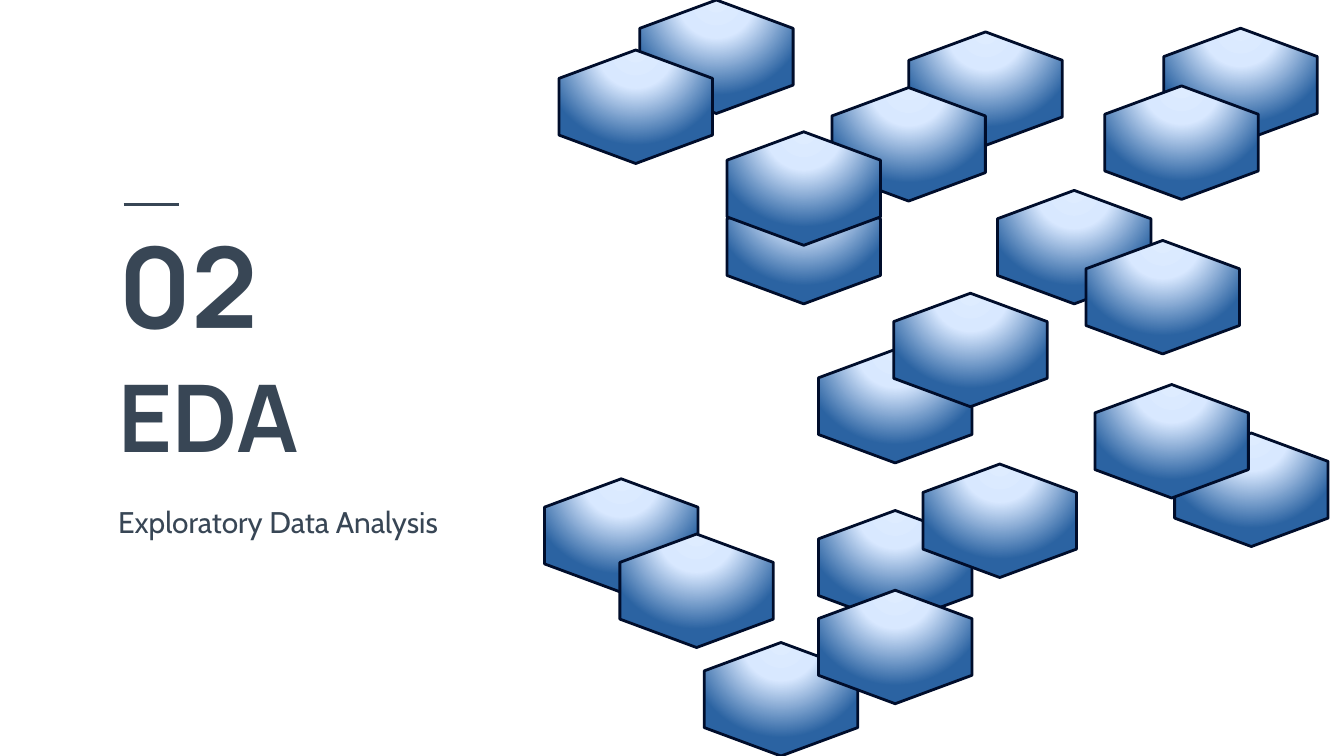
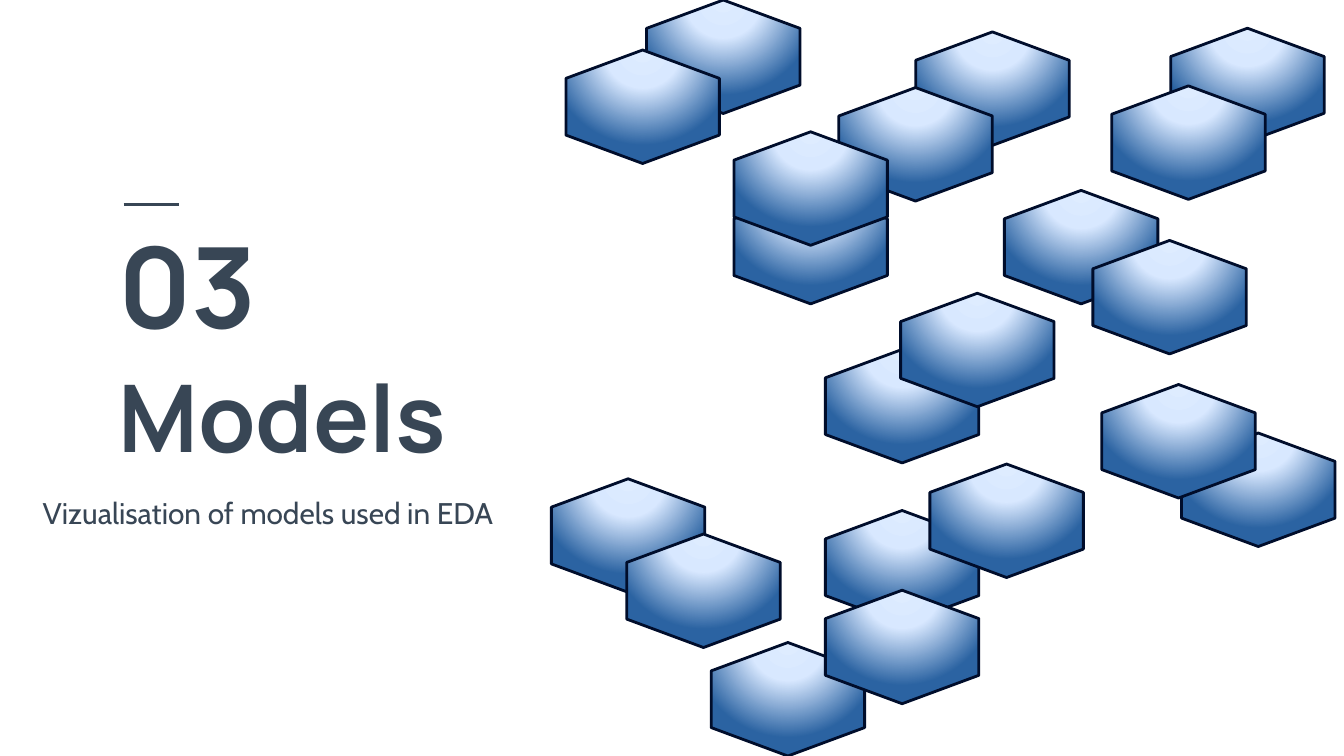
from dataclasses import dataclass

from lxml import etree
from pptx import Presentation
from pptx import util as u
from pptx.dml.color import RGBColor
from pptx.enum import shapes, text
from pptx.oxml import parse_xml
from pptx.oxml.ns import nsdecls, qn

SLATE = RGBColor(0x38, 0x46, 0x55)
NAVY = RGBColor(0x00, 0x0D, 0x2B)
ICE = RGBColor(0xDE, 0xEC, 0xFF)
SKY = RGBColor(0xD8, 0xE8, 0xFF)
OCEAN = RGBColor(0x2B, 0x63, 0xA2)
WHITE = RGBColor(0xFF, 0xFF, 0xFF)

HEADING_FONT = "Manrope"
BODY_FONT = "Cabin"
PADDING = u.Pt(7.2)
LINE_WIDTH = u.Pt(1.5)
TITLE_ONLY = 5

HEX_WIDTH = 82.2
HEX_HEIGHT = 60.8
HEX_STOPS = ((0, ICE), (40, SKY), (100, OCEAN))
HEX_CORNERS = ((0.5, 0), (0, 0.25), (0, 0.75), (0.5, 1), (1, 0.75), (1, 0.25))
HEX_PLACES = (
    (623.5, 15.1), (629.3, 232), (438.5, 187.2), (486.9, 17.1), (445.7, 46.9),
    (389.5, 102), (389.5, 70.6), (534.4, 102), (342.7, 0), (478.8, 157.1),
    (299.5, 26.8), (581.8, 128.8), (291.7, 256.5), (438.5, 273.5),
    (377.3, 344.2), (494.5, 248.6), (438.5, 316.2), (332.1, 286.1),
    (586.6, 206), (591.9, 46),
)


@dataclass(frozen=True)
class Area:
    left: float
    top: float
    width: float
    height: float

    def lengths(self) -> tuple:
        return tuple(u.Pt(n) for n in (self.left, self.top, self.width, self.height))


@dataclass(frozen=True)
class TextStyle:
    font: str
    size: float
    bold: bool
    anchor: text.MSO_ANCHOR
    spacing: float = 1.0


@dataclass(frozen=True)
class Section:
    number: str
    title: str
    subtitle: str
    subtitle_area: Area
    hex_shift: float


TITLE_AREA = Area(56.2, 187.9, 342, 72)
NUMBER_AREA = Area(56.2, 115.9, 99.4, 72)
TITLE_STYLE = TextStyle(HEADING_FONT, 50, True, text.MSO_ANCHOR.BOTTOM)
NUMBER_STYLE = TextStyle(HEADING_FONT, 60, True, text.MSO_ANCHOR.MIDDLE)
SUBTITLE_STYLE = TextStyle(BODY_FONT, 16, False, text.MSO_ANCHOR.TOP, 1.15)

SECTIONS = (
    Section("02", "EDA", "Exploratory Data Analysis",
            Area(56.2, 259.9, 342, 29.5), 0),
    Section("03", "Models", "Vizualisation of models used in EDA",
            Area(15.8, 254.9, 342, 29.5), 3.7),
)


def write(box, content: str, style: TextStyle) -> None:
    frame = box.text_frame
    frame.word_wrap = True
    frame.auto_size = text.MSO_AUTO_SIZE.NONE
    frame.vertical_anchor = style.anchor
    frame.margin_left = frame.margin_right = PADDING
    frame.margin_top = frame.margin_bottom = PADDING
    para = frame.paragraphs[0]
    para.alignment = text.PP_ALIGN.LEFT
    para.line_spacing = style.spacing
    span = para.add_run()
    span.text = content
    span.font.name = style.font
    span.font.size = u.Pt(style.size)
    span.font.bold = style.bold
    span.font.color.rgb = SLATE


def add_title(page, content: str) -> None:
    title = page.shapes.title
    title.left, title.top, title.width, title.height = TITLE_AREA.lengths()
    write(title, content, TITLE_STYLE)


def add_text(page, area: Area, content: str, style: TextStyle) -> None:
    write(page.shapes.add_textbox(*area.lengths()), content, style)


def add_accent(page) -> None:
    accent = page.shapes.add_connector(
        shapes.MSO_CONNECTOR.STRAIGHT,
        u.Pt(66.2), u.Pt(109.4), u.Pt(95.8), u.Pt(109.4))
    accent.line.color.rgb = SLATE
    accent.line.width = LINE_WIDTH
    etree.SubElement(accent.element.spPr, qn("a:effectLst"))


def glow_fill():
    stops = "".join(
        f'<a:gs pos="{place * 1000}"><a:srgbClr val="{color}"/></a:gs>'
        for place, color in HEX_STOPS)
    return parse_xml(
        f'<a:gradFill {nsdecls("a")}><a:gsLst>{stops}</a:gsLst>'
        '<a:path path="circle">'
        '<a:fillToRect l="50000" t="-80000" r="50000" b="180000"/>'
        '</a:path></a:gradFill>')


def add_hexagon(cluster, left: float, top: float) -> None:
    corners = [(u.Pt(left + x * HEX_WIDTH), u.Pt(top + y * HEX_HEIGHT))
               for x, y in HEX_CORNERS]
    builder = cluster.shapes.build_freeform(*corners[0])
    builder.add_line_segments(corners[1:], close=True)
    hexagon = builder.convert_to_shape()
    hexagon.shadow.inherit = False
    hexagon.line.color.rgb = NAVY
    hexagon.line.width = LINE_WIDTH
    hexagon.element.spPr.find(qn("a:custGeom")).addnext(glow_fill())


def add_section(deck, section: Section) -> None:
    page = deck.slides.add_slide(deck.slide_layouts[TITLE_ONLY])
    page.background.fill.solid()
    page.background.fill.fore_color.rgb = WHITE
    add_title(page, section.title)
    add_text(page, NUMBER_AREA, section.number, NUMBER_STYLE)
    add_text(page, section.subtitle_area, section.subtitle, SUBTITLE_STYLE)
    add_accent(page)
    cluster = page.shapes.add_group_shape()
    for left, top in HEX_PLACES:
        add_hexagon(cluster, left + section.hex_shift, top)


def main() -> None:
    deck = Presentation()
    deck.slide_width = u.Pt(720)
    deck.slide_height = u.Pt(405)
    for section in SECTIONS:
        add_section(deck, section)
    deck.save("out.pptx")


if __name__ == "__main__":
    main()
